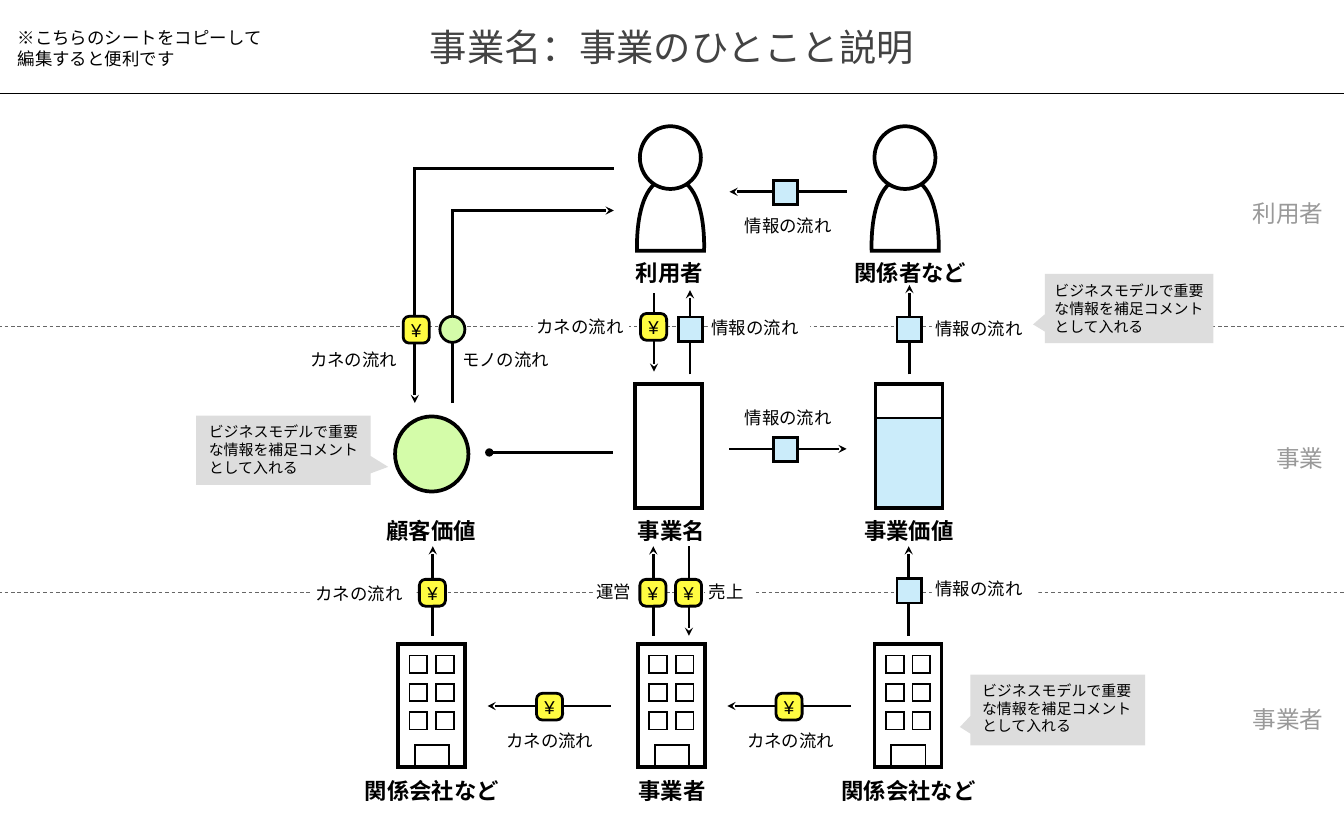
"""Build a business model diagram: customers, business and operators in three tiers."""
from lxml import etree
from pptx import Presentation
from pptx import util as u
from pptx.dml.color import RGBColor
from pptx.enum import dml, shapes, text
from pptx.oxml.ns import qn

COLOURS = {"black": "000000", "white": "FFFFFF", "title": "434343", "stage": "999999", "dash": "666666",
           "money": "FFFC41", "info": "CBECFA", "goods": "D4FCA9", "comment": "DDDDDD"}
FORM = shapes.MSO_SHAPE
LEFT, CENTRE, RIGHT = text.PP_ALIGN.LEFT, text.PP_ALIGN.CENTER, text.PP_ALIGN.RIGHT
COMMENT = "ビジネスモデルで重要な情報を補足コメントとして入れる"


def paint(shape, fill=None, weight=0):
    shape.shadow.inherit = False
    if fill:
        shape.fill.solid()
        shape.fill.fore_color.rgb = RGBColor.from_string(COLOURS[fill])
    else:
        shape.fill.background()
    if weight:
        shape.line.color.rgb = RGBColor.from_string(COLOURS["black"])
        shape.line.width = u.Pt(weight)
        outline = shape.element.spPr.find(qn("a:ln"))
        etree.SubElement(outline, qn("a:miter"), lim="800000")
    else:
        shape.line.fill.background()
    return shape


def write(shape, words, size=14, colour="black", bold=False, align=LEFT,
          anchor=text.MSO_ANCHOR.MIDDLE, inset=(0.1, 0.1)):
    frame = shape.text_frame
    frame.word_wrap = True
    frame.vertical_anchor = anchor
    frame.margin_left = frame.margin_right = u.Cm(inset[0])
    frame.margin_top = frame.margin_bottom = u.Cm(inset[1])
    frame.text = words
    for paragraph in frame.paragraphs:
        paragraph.alignment = align
        font = paragraph.runs[0].font
        font.name, font.size, font.bold = "Arial", u.Pt(size), bold
        font.color.rgb = RGBColor.from_string(COLOURS[colour])


deck = Presentation()
deck.slide_width, deck.slide_height = u.Cm(38.1), u.Cm(23.82)
canvas = deck.slides.add_slide(deck.slide_layouts[6]).shapes

for y, colour, dash in [(9.27, "dash", dml.MSO_LINE.DASH), (16.81, "dash", dml.MSO_LINE.DASH),
                        (2.64, "black", None)]:
    divider = canvas.add_connector(shapes.MSO_CONNECTOR.STRAIGHT, u.Cm(-0.05), u.Cm(y), u.Cm(38.15), u.Cm(y))
    divider.line.color.rgb = RGBColor.from_string(COLOURS[colour])
    divider.line.width = u.Pt(0.75)
    divider.line.dash_style = dash
    etree.SubElement(divider.element.spPr, qn("a:effectLst"))

title = canvas.add_textbox(0, 0, u.Cm(38.1), u.Cm(2.67))
write(title, "事業名：事業のひとこと説明", size=30, colour="title", align=CENTRE, inset=(0.25, 0.25))
hint = canvas.add_textbox(*map(u.Cm, (0.25, 0.64, 7.49, 1.45)))
write(hint, "※こちらのシートをコピーして\n編集すると便利です", anchor=text.MSO_ANCHOR.TOP, inset=(0.25, 0.13))

for stage, y in [("利用者", 5.66), ("事業", 12.62), ("事業者", 20.02)]:
    write(canvas.add_textbox(u.Cm(34.39), u.Cm(y), u.Cm(3.23), u.Cm(0.76)), stage,
          size=19, colour="stage", align=RIGHT)

for name, x, y, width, fill in [
        ("利用者", 16.13, 7.32, 5.69, "white"), ("関係者など", 22.96, 7.32, 5.69, "white"),
        ("顧客価値", 9.75, 14.63, 4.95, None), ("事業名", 17.2, 14.63, 3.66, None),
        ("事業価値", 23.44, 14.63, 4.65, None), ("関係会社など", 9.02, 22, 6.45, None),
        ("事業者", 15.82, 22, 6.45, None), ("関係会社など", 22.53, 22, 6.45, None)]:
    plate = canvas.add_shape(FORM.RECTANGLE, *map(u.Cm, (x, y, width, 0.84)))
    write(paint(plate, fill), name, size=18, bold=True, align=CENTRE)

steps = [step / 24 for step in range(25)]
shoulder = [(1.9 * ((1 - t) ** 3 + 3 * t * (1 - t) ** 2) + 6 * t ** 2 * (1 - t) + 0.95 * t ** 3,
             2.06 * ((1 - t) ** 3 + 3 * t * (1 - t) ** 2)) for t in steps]
body_outline = shoulder + [(1.9 - x, y) for x, y in reversed(shoulder)]
for x in (18.06, 24.71):
    person = canvas.add_group_shape().shapes
    points = [(u.Cm(x + dx), u.Cm(5.05 + dy)) for dx, dy in body_outline]
    torso = person.build_freeform(*points[0])
    torso.add_line_segments(points[1:], close=True)
    paint(torso.convert_to_shape(), "white", 3)
    paint(person.add_shape(FORM.OVAL, *map(u.Cm, (x + 0.08, 3.58, 1.73, 1.78))), "white", 3)

for x in (11.28, 18.08, 24.79):
    building = canvas.add_group_shape().shapes
    paint(building.add_shape(FORM.RECTANGLE, *map(u.Cm, (x, 18.26, 1.9, 3.5))), "white", 3)
    for row in range(3):
        for column in range(2):
            window = (x + 0.33 + 0.75 * column, 18.59 + 0.8 * row, 0.5, 0.5)
            paint(building.add_shape(FORM.RECTANGLE, *map(u.Cm, window)), "white", 1.5)
    paint(building.add_shape(FORM.RECTANGLE, *map(u.Cm, (x + 0.48, 21.13, 0.97, 0.66))), None, 1.5)

paint(canvas.add_shape(FORM.OVAL, *map(u.Cm, (11.2, 11.81, 2.08, 2.13))), "goods", 3)
paint(canvas.add_shape(FORM.RECTANGLE, *map(u.Cm, (18.01, 10.9, 1.9, 3.5))), None, 3)
value = canvas.add_group_shape().shapes
paint(value.add_shape(FORM.RECTANGLE, *map(u.Cm, (24.82, 11.84, 1.9, 2.54))), "info")
paint(value.add_shape(FORM.RECTANGLE, *map(u.Cm, (24.82, 10.9, 1.9, 3.5))), None, 3)

for parent, x1, y1, x2, y2, weight, tip in [
        (value, 24.79, 11.86, 26.77, 11.86, 1.5, "none"),
        (canvas, 17.37, 12.83, 13.87, 12.83, 2.25, "oval"),
        (canvas, 20.68, 12.73, 24, 12.73, 2.25, "stealth"),
        (canvas, 24, 5.44, 20.68, 5.44, 2.25, "stealth"),
        (canvas, 24.13, 20.02, 20.62, 20.02, 2.25, "stealth"),
        (canvas, 17.32, 20.02, 13.82, 20.02, 2.25, "stealth"),
        (canvas, 12.27, 18.03, 12.27, 15.49, 2.25, "stealth"),
        (canvas, 18.52, 18.03, 18.52, 15.49, 2.25, "stealth"),
        (canvas, 19.53, 15.49, 19.53, 18.03, 2.25, "stealth"),
        (canvas, 25.76, 18.03, 25.76, 15.49, 2.25, "stealth"),
        (canvas, 18.54, 8.31, 18.54, 10.54, 2.25, "stealth"),
        (canvas, 19.56, 10.62, 19.56, 8.23, 2.25, "stealth"),
        (canvas, 25.78, 10.62, 25.78, 8.08, 2.25, "stealth")]:
    flow = parent.add_connector(shapes.MSO_CONNECTOR.STRAIGHT, *map(u.Cm, (x1, y1, x2, y2)))
    flow.line.color.rgb = RGBColor.from_string(COLOURS["black"])
    flow.line.width = u.Pt(weight)
    etree.SubElement(flow.element.spPr.find(qn("a:ln")), qn("a:tailEnd"), type=tip)
    etree.SubElement(flow.element.spPr, qn("a:effectLst"))

for x, y, end in [(11.76, 4.78, "a:headEnd"), (12.83, 5.97, "a:tailEnd")]:
    route = canvas.build_freeform(u.Cm(x), u.Cm(11.43))
    route.add_line_segments([(u.Cm(x), u.Cm(y)), (u.Cm(17.4), u.Cm(y))], close=False)
    bend = paint(route.convert_to_shape(), None, 2.25)
    etree.SubElement(bend.element.spPr.find(qn("a:ln")), qn(end), type="stealth")

for label, *area in [
        ("運営", 16.81, 16.48, 1.4, 0.58), ("売上", 19.99, 16.48, 1.4, 0.58),
        ("情報の流れ", 26.42, 8.74, 3.02, 1.14), ("情報の流れ", 26.42, 16.13, 3.02, 1.14),
        ("情報の流れ", 20.07, 8.86, 2.9, 0.84), ("情報の流れ", 21.01, 5.97, 2.9, 0.84),
        ("情報の流れ", 21.01, 11.43, 2.9, 0.84), ("カネの流れ", 15.11, 8.76, 2.72, 1.02),
        ("カネの流れ", 8.84, 16.33, 2.97, 1.02), ("カネの流れ", 14.25, 20.5, 2.97, 1.02),
        ("カネの流れ", 21.08, 20.5, 2.97, 1.02), ("カネの流れ", 8.69, 9.7, 2.97, 1.02),
        ("モノの流れ", 13, 9.68, 2.97, 1.02)]:
    write(paint(canvas.add_shape(FORM.RECTANGLE, *map(u.Cm, area)), "white"), label)

for x, y in [(18.14, 16.43), (19.15, 16.43), (11.89, 16.43), (22, 19.66), (15.21, 19.66),
             (18.16, 8.89), (11.43, 8.97)]:
    coin = paint(canvas.add_shape(FORM.ROUNDED_RECTANGLE, *map(u.Cm, (x, y, 0.74, 0.76))), "money", 2.25)
    coin.adjustments[0] = 0.23
    write(coin, "¥", size=15, align=CENTRE)
for x, y in [(25.43, 16.41), (19.23, 8.99), (21.92, 12.4), (25.43, 8.99), (21.92, 5.11)]:
    paint(canvas.add_shape(FORM.RECTANGLE, *map(u.Cm, (x, y, 0.69, 0.69))), "info", 2.25)
paint(canvas.add_shape(FORM.OVAL, *map(u.Cm, (12.47, 8.97, 0.71, 0.74))), "goods", 2.25)

for bubble_area, pointer, comment_area in [
        ((27.51, 19.13, 4.95, 2.01), (-0.56, 0.24, 0), (27.74, 19.23, 4.6, 1.7)),
        ((5.56, 11.79, 4.95, 1.96), (0.6, 0.24, 0), (5.82, 11.89, 4.6, 1.7)),
        ((29.62, 7.77, 4.78, 1.96), (-0.57, 0.23, 0), (29.79, 7.9, 4.65, 1.7))]:
    bubble = paint(canvas.add_shape(FORM.ROUNDED_RECTANGULAR_CALLOUT, *map(u.Cm, bubble_area)), "comment")
    for index, amount in enumerate(pointer):
        bubble.adjustments[index] = amount
    write(canvas.add_textbox(*map(u.Cm, comment_area)), COMMENT, size=12)

deck.save("out.pptx")
